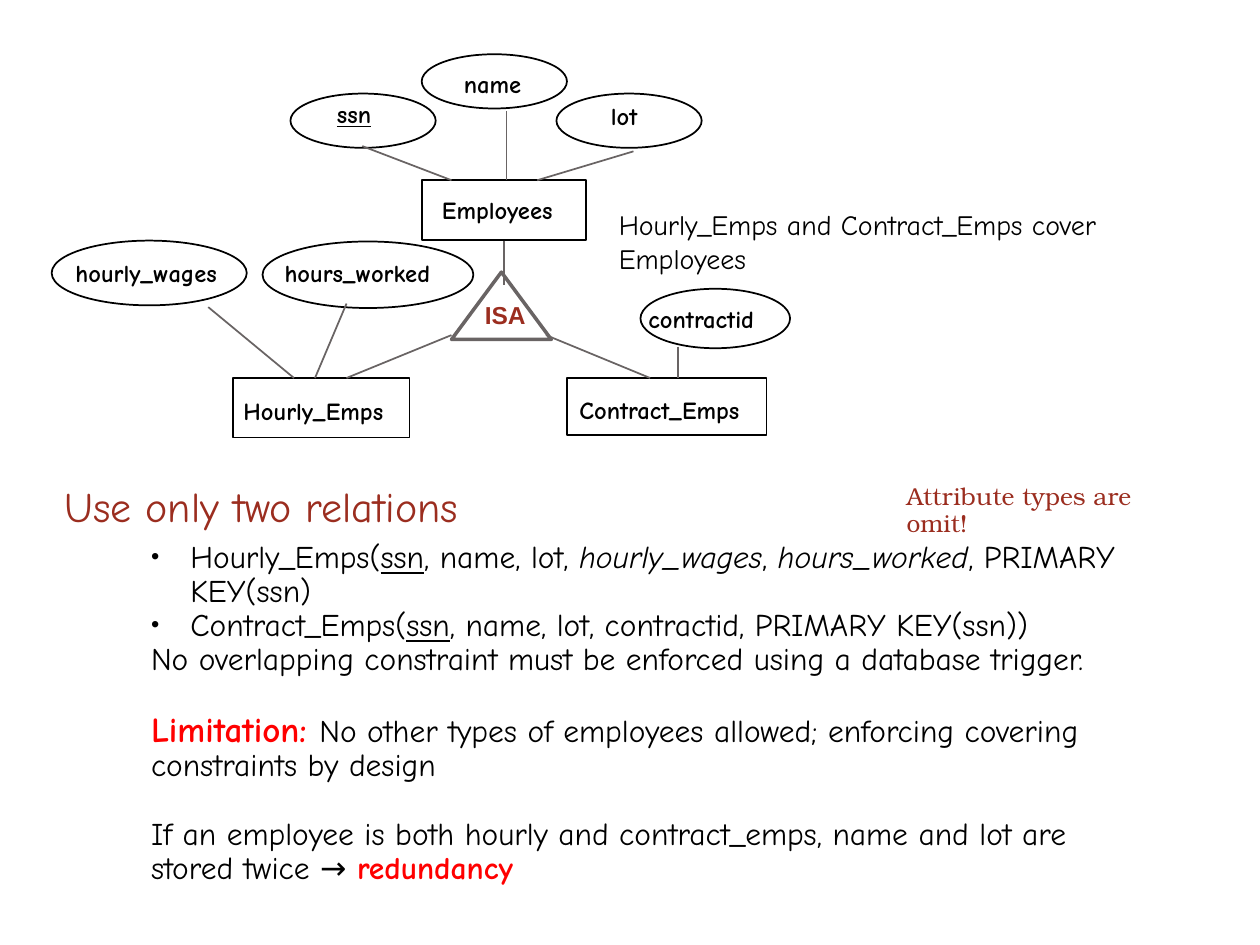
from pptx import Presentation
from pptx.dml.color import RGBColor
from pptx.enum.shapes import MSO_CONNECTOR, MSO_SHAPE
from pptx.enum.text import MSO_ANCHOR, PP_ALIGN
from pptx.oxml.ns import qn
from pptx.util import Pt
from lxml.etree import SubElement

BLACK, GREY, RUST, RED = "000000", "696464", "9B2D1F", "FF0000"
COMIC, SERIF, SANS = "Comic Neue", "TeX Gyre Bonum", "Arial"
OVAL, RECT, TRI = MSO_SHAPE.OVAL, MSO_SHAPE.RECTANGLE, MSO_SHAPE.ISOSCELES_TRIANGLE

# kind, outline box, label, label box (left, top, width)
NODES = [
    (OVAL, (166, 53.5, 83, 31), "ssn", (185.5, 53, 36)),
    (OVAL, (241, 31, 83, 31), "name", (258, 36, 48)),
    (OVAL, (318, 53.5, 83, 31), "lot", (342, 54, 32)),
    (RECT, (241, 103, 94, 34), "Employees", (245.5, 108, 83)),
    (OVAL, (29.5, 137.5, 111.5, 37), "hourly_wages", (36, 144, 104)),
    (OVAL, (150, 138, 120.5, 38), "hours_worked", (155.5, 144, 106.5)),
    (OVAL, (366, 165, 85.5, 34), "contractid", (363.5, 170, 83.5)),
    (RECT, (133, 216, 101, 34), "Hourly_Emps", (132, 222.5, 101)),
    (RECT, (324, 216, 114, 32.5), "Contract_Emps", (324, 222, 115)),
    (TRI, (258, 155.5, 57, 38.5), "ISA", (270, 168, 42)),
]
LINKS = [
    (207, 83.5, 258, 103), (289.5, 63.5, 289.5, 103), (362, 86.5, 307, 103),
    (119, 175.5, 168, 216), (198, 173.5, 180, 216), (288, 137.5, 288, 163),
    (258, 191.5, 198, 216), (312, 191.5, 371.5, 216), (387.5, 198, 387.5, 216),
]
TITLE = "Use only two relations"
NOTES = [  # text, box, size, font, colour, line spacing
    ("Hourly_Emps and Contract_Emps cover Employees",
     (346.5, 115, 289, 46), 16, COMIC, BLACK, 1),
    ("Attribute types are omit!", (511, 273.5, 180, 22), 14, SERIF, RUST, 0.9),
]
# bulleted, space before, runs of (text, style)
BODY = [
    (True, 0, [("Hourly_Emps(", ""), ("ssn", "u"), (", name, lot, ", ""),
               ("hourly_wages", "i"), (", ", ""), ("hours_worked", "i"),
               (", PRIMARY KEY(ssn)", "")]),
    (True, 0, [("Contract_Emps(", ""), ("ssn", "u"),
               (", name, lot, contractid, PRIMARY KEY(ssn))", "")]),
    (False, 0, [("No overlapping constraint must be enforced using a database trigger.", "")]),
    (False, 19.5, [("Limitation: ", "key"),
                   ("No other types of employees allowed; "
                    "enforcing covering constraints by design", "")]),
    (False, 19.5, [("If an employee is both hourly and contract_emps, "
                    "name and lot are stored twice → ", ""), ("redundancy", "hot")]),
]
STYLES = {
    "": {}, "u": {"underline": True}, "i": {"italic": True},
    "key": {"size": 20, "color": RED, "bold": True},
    "hot": {"color": RED, "bold": True},
}


def rgb(code):
    return RGBColor.from_string(code)


def style(run, size=18, name=COMIC, color=BLACK, **flags):
    font = run.font
    font.size, font.name, font.color.rgb = Pt(size), name, rgb(color)
    for key, value in flags.items():
        setattr(font, key, value)


def text_box(box, wrap=True):
    frame = slide.shapes.add_textbox(*map(Pt, box)).text_frame
    frame.word_wrap = wrap
    return frame


def label(text, box, wrap=True, gap=1, **look):
    para = text_box(box, wrap).paragraphs[0]
    para.text, para.line_spacing = text, gap
    style(para.runs[0], **look)


def node(kind, box, text, spot):
    shape = slide.shapes.add_shape(kind, *map(Pt, box))
    shape.shadow.inherit = False
    shape.fill.background()
    shape.line.color.rgb = rgb(GREY if kind == TRI else BLACK)
    shape.line.width = Pt(2 if kind == TRI else 1)
    look = {"name": SANS, "color": RUST} if kind == TRI else {}
    label(text, (*spot, 24), wrap=False, size=14, bold=True,
          underline=text == "ssn", **look)


def link(ends):
    line = slide.shapes.add_connector(MSO_CONNECTOR.STRAIGHT, *map(Pt, ends))
    line.line.color.rgb, line.line.width = rgb(GREY), Pt(1)
    SubElement(line._element.spPr, qn("a:effectLst"))


def indent(para, bullet):
    """Set the left margin, with a hanging bullet if asked."""
    props = para._p.get_or_add_pPr()
    props.set("marL", str(Pt(94.5 if bullet else 72)))
    props.set("indent", str(Pt(-22.5 if bullet else 0)))
    if bullet:
        SubElement(props, qn("a:buSzPct"), val="75000")
        SubElement(props, qn("a:buFont"), typeface=SANS)
        SubElement(props, qn("a:buChar"), char="•")


deck = Presentation()
deck.slide_width, deck.slide_height = Pt(720), Pt(540)
slide = deck.slides.add_slide(deck.slide_layouts[5])

title = slide.shapes.title
title.left, title.top, title.width, title.height = map(Pt, (29.5, 271, 271, 36.5))
frame = title.text_frame
frame.text, frame.word_wrap = TITLE, False
frame.vertical_anchor = MSO_ANCHOR.TOP
frame.paragraphs[0].alignment = PP_ALIGN.LEFT
style(frame.paragraphs[0].runs[0], size=24, color=RUST)

for item in NODES:
    node(*item)
for ends in LINKS:
    link(ends)
for text, box, size, name, color, gap in NOTES:
    label(text, box, gap=gap, size=size, name=name, color=color)

frame = text_box((7.2, 306, 655, 225))
for i, (bullet, space, runs) in enumerate(BODY):
    para = frame.paragraphs[0] if i == 0 else frame.add_paragraph()
    para.line_spacing, para.space_before = 0.9, Pt(space)
    indent(para, bullet)
    for text, look in runs:
        run = para.add_run()
        run.text = text
        style(run, **STYLES[look])

deck.save("out.pptx")
